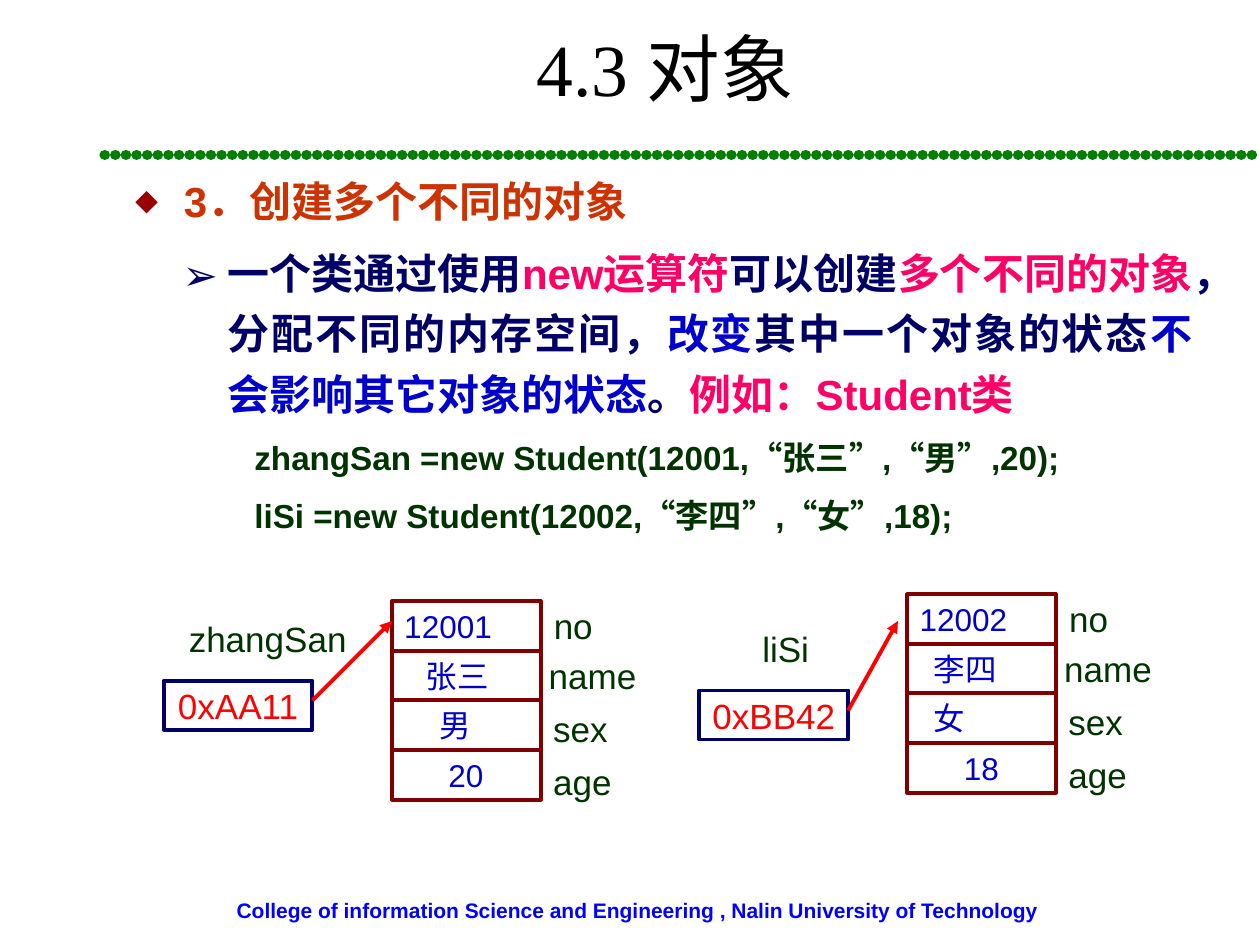
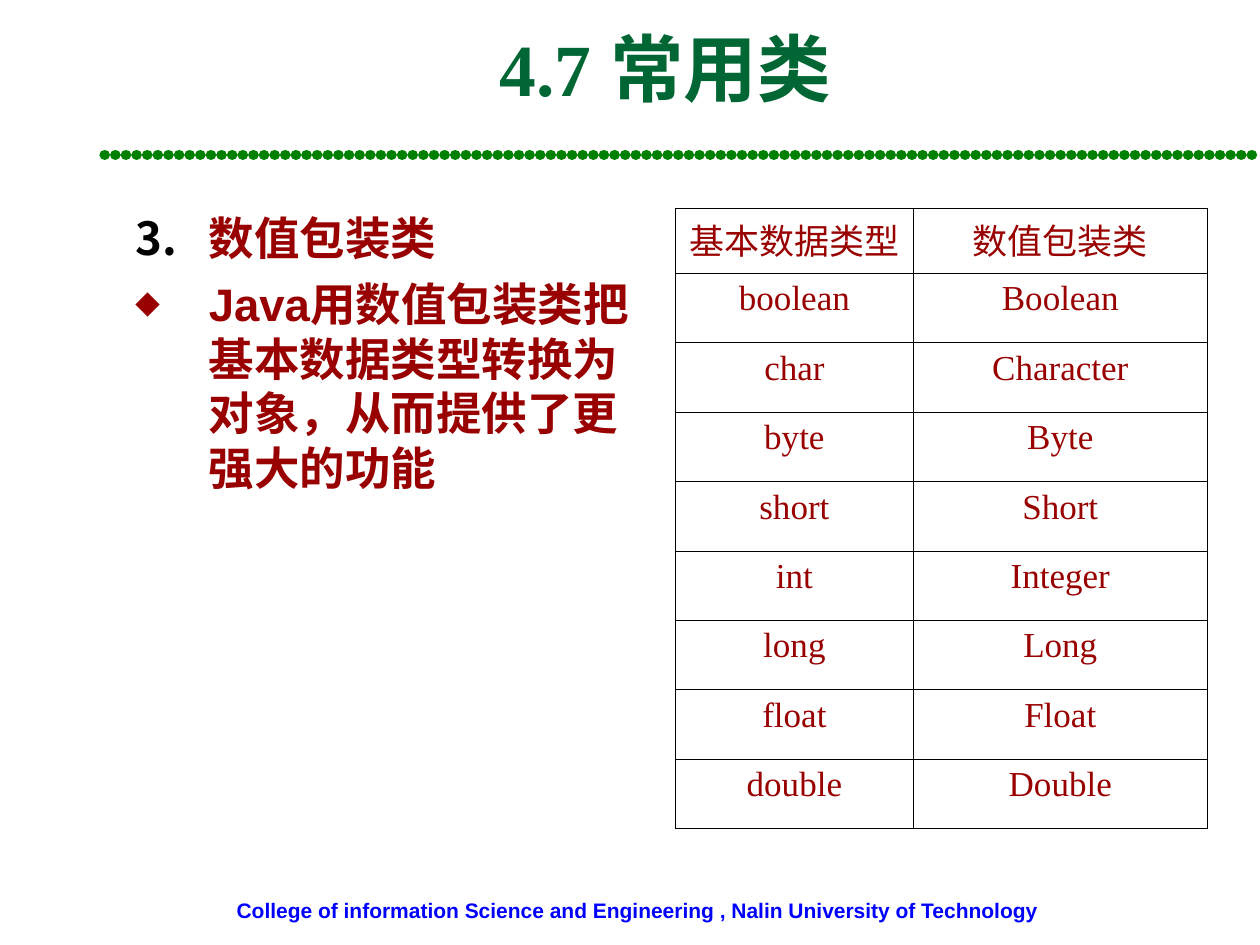
from dataclasses import dataclass

from lxml.etree import SubElement
from pptx import Presentation
from pptx.dml.color import RGBColor
from pptx.enum.shapes import MSO_CONNECTOR, MSO_SHAPE
from pptx.enum.text import MSO_ANCHOR, PP_ALIGN
from pptx.oxml.ns import qn
from pptx.util import Cm, Pt


@dataclass(frozen=True)
class Theme:
    """Colours, fonts and type sizes of the deck."""
    black: str = "000000"
    footer: str = "0000FF"
    rule: str = "008000"
    green: str = "006633"
    heading: str = "CC3300"
    navy: str = "000066"
    pink: str = "FF0066"
    blue: str = "0000CC"
    code: str = "003300"
    red: str = "FF0000"
    maroon: str = "800000"
    crimson: str = "990000"
    sans: str = "Arial"
    serif: str = "Times New Roman"
    cjk: str = "Noto Sans CJK SC"
    title_size: int = 42
    point_size: int = 26
    body_size: int = 24
    label_size: int = 20
    code_size: int = 19
    value_size: int = 18
    footer_size: int = 12


T = Theme()
FOOTER = "College of information Science and Engineering , Nalin University of Technology"
CODE = [
    ("zhangSan =new Student(12001,", "张三", "男", ",20);"),
    ("liSi =new Student(12002,", "李四", "女", ",18);"),
]
FIELDS = [("no", -0.1, -0.05, 1.4), ("name", -0.18, 0.94, 2.36),
          ("sex", -0.1, 2.01, 1.7), ("age", -0.1, 3.09, 1.78)]
TYPES = [("基本数据类型", "数值包装类"), ("boolean", "Boolean"), ("char", "Character"),
         ("byte", "Byte"), ("short", "Short"), ("int", "Integer"), ("long", "Long"),
         ("float", "Float"), ("double", "Double")]


def add_xml(parent, tag, **attrs):
    """Append a DrawingML element and return it."""
    return SubElement(parent, qn(tag), {k: str(v) for k, v in attrs.items()})


def set_font(font, size, color, name=T.sans, bold=False):
    """Style one font object."""
    font.size, font.name, font.bold = Pt(size), name, bold
    font.color.rgb = RGBColor.from_string(color)


def write(p, text, size, color, name=T.sans, bold=False, align=PP_ALIGN.LEFT):
    """Fill a paragraph with evenly styled text."""
    p.add_run().text = text
    p.alignment = align
    set_font(p.font, size, color, name, bold)


def indent(p, left, first=0):
    """Set the left margin and first-line indent of a paragraph."""
    pPr = p._p.get_or_add_pPr()
    pPr.set("marL", str(Cm(left)))
    pPr.set("indent", str(Cm(first)))


def bullet(p, color, char=None, start=None, scale=100):
    """Give a paragraph a character bullet or a number."""
    pPr = p._p.get_or_add_pPr()
    add_xml(add_xml(pPr, "a:buClr"), "a:srgbClr", val=color)
    add_xml(pPr, "a:buSzPct", val=scale * 1000)
    add_xml(pPr, "a:buFont", typeface=T.cjk)
    if char:
        add_xml(pPr, "a:buChar", char=char)
    else:
        add_xml(pPr, "a:buAutoNum", type="arabicPeriod", startAt=start)


def spacing(p, before, lines=1.0):
    """Set the space before a paragraph and its line spacing."""
    p.space_before, p.line_spacing = Pt(before), lines


def add_text(s, left, top, width, height, wrap=True):
    """Add a text box and return its text frame."""
    tf = s.shapes.add_textbox(Cm(left), Cm(top), Cm(width), Cm(height)).text_frame
    tf.word_wrap = wrap
    return tf


def add_label(s, text, left, top, width):
    """Add a one-line name beside a box."""
    tf = add_text(s, left, top, width, 1.12, wrap=False)
    write(tf.paragraphs[0], text, T.label_size, T.code, align=PP_ALIGN.RIGHT)


def add_box(s, left, top, height, color):
    """Add an outlined memory cell and return its text frame."""
    sp = s.shapes.add_shape(MSO_SHAPE.RECTANGLE, Cm(left), Cm(top), Cm(3), Cm(height))
    sp.shadow.inherit = False
    sp.fill.background()
    sp.line.color.rgb = RGBColor.from_string(color)
    sp.line.width = Pt(2.24)
    sp.text_frame.vertical_anchor = MSO_ANCHOR.MIDDLE
    return sp.text_frame


def add_line(s, x1, y1, x2, y2, color, width):
    """Add a straight line and return its outline element."""
    cn = s.shapes.add_connector(MSO_CONNECTOR.STRAIGHT, Cm(x1), Cm(y1), Cm(x2), Cm(y2))
    cn.line.color.rgb = RGBColor.from_string(color)
    cn.line.width = Pt(width)
    add_xml(cn._element.spPr, "a:effectLst")
    return cn.line._get_or_add_ln()


def add_base(prs, title, color, bold):
    """Add a slide with footer, dotted rule and title."""
    s = prs.slides.add_slide(prs.slide_layouts[6])
    tf = add_text(s, 4.52, 17.96, 16.97, 0.76, wrap=False)
    write(tf.paragraphs[0], FOOTER, T.footer_size, T.footer, bold=True)
    ln = add_line(s, 2.11, 3.12, 25.4, 3.12, T.rule, 6)
    ln.set("cap", "rnd")
    add_xml(add_xml(ln, "a:custDash"), "a:ds", d=1000, sp=100000)
    tf = add_text(s, 2.69, 0.33, 21.44, 2.36)
    write(tf.paragraphs[0], title, T.title_size, color, T.serif, bold, PP_ALIGN.CENTER)
    return s


def add_code(tf, call, name, sex, end):
    """Add one constructor call with full-width quotes."""
    p = tf.add_paragraph()
    indent(p, 2.39)
    spacing(p, 6, 1.2)
    for text in (call, "“", name, "”", ",", "“", sex, "”", end):
        r = p.add_run()
        r.text = text
        r.font.name = T.cjk if text in "“”" else T.sans
    p.font.size, p.font.bold = Pt(T.code_size), True
    p.font.color.rgb = RGBColor.from_string(T.code)


def add_explanation(s):
    """Add the body text about creating several objects."""
    tf = add_text(s, 2.49, 3.53, 21.79, 7.8)
    p = tf.paragraphs[0]
    indent(p, 0.97, -0.97)
    bullet(p, T.crimson, "◆", scale=55)
    spacing(p, 6, 0.9)
    write(p, "3．创建多个不同的对象", T.body_size, T.heading, bold=True, align=PP_ALIGN.JUSTIFY)
    p = tf.add_paragraph()
    p.alignment = PP_ALIGN.JUSTIFY
    indent(p, 1.85, -0.91)
    bullet(p, T.navy, "➢")
    spacing(p, 6, 1.2)
    for text, color in [
        ("一个类通过使用", T.navy), ("new运算符", T.pink), ("可以创建", T.navy),
        ("多个不同的对象", T.pink), ("，分配不同的内存空间，", T.navy), ("改变", T.blue),
        ("其中一个对象的状态", T.navy), ("不会影响其它对象的状态", T.blue),
        ("。", T.navy), ("例如：Student类", T.pink),
    ]:
        r = p.add_run()
        r.text = text
        r.font.color.rgb = RGBColor.from_string(color)
    p.font.size, p.font.name, p.font.bold = Pt(T.body_size), T.sans, True
    for line in CODE:
        add_code(tf, *line)


def add_reference(s, name, name_at, address, left, top, tip):
    """Add a named reference box with an arrow to its object."""
    add_label(s, name, *name_at)
    tf = add_box(s, left, top, 0.99, T.navy)
    tf.word_wrap = False
    write(tf.paragraphs[0], address, T.label_size, T.red, align=PP_ALIGN.CENTER)
    ln = add_line(s, left + 3, top + 0.4, tip, 12.52, T.red, 2.24)
    add_xml(ln, "a:tailEnd", type="triangle")


def add_object(s, left, top, values):
    """Add an object's stacked field values and field names."""
    for i, (value, shift) in enumerate(values):
        p = add_box(s, left, top + i, 1, T.maroon).paragraphs[0]
        indent(p, shift)
        write(p, value, T.value_size, T.blue)
    for name, dx, dy, width in FIELDS:
        add_label(s, name, left + 3 + dx, top + dy, width)


def add_points(s):
    """Add the numbered point on wrapper classes."""
    tf = add_text(s, 2.49, 4.11, 10.72, 12.57)
    number, point = tf.paragraphs[0], tf.add_paragraph()
    bullet(number, T.black, start=3)
    bullet(point, T.crimson, "◆", scale=55)
    for p, text in [(number, "数值包装类"),
                    (point, "Java用数值包装类把基本数据类型转换为对象，从而提供了更强大的功能")]:
        indent(p, 1.47, -1.47)
        spacing(p, 6.5)
        write(p, text, T.point_size, T.crimson, bold=True)


def style_cell(cell, text):
    """Fill a table cell and draw its thin borders."""
    write(cell.text_frame.paragraphs[0], text, T.label_size, T.crimson, T.serif,
          align=PP_ALIGN.CENTER)
    tcPr = cell._tc.get_or_add_tcPr()
    for side in ("a:lnL", "a:lnR", "a:lnT", "a:lnB"):
        ln = add_xml(tcPr, side, w=Pt(0.45))
        add_xml(add_xml(ln, "a:solidFill"), "a:srgbClr", val=T.black)
    cell.fill.background()


def add_type_table(s):
    """Add the table of primitive types and wrapper classes."""
    table = s.shapes.add_table(len(TYPES), 2, Cm(13.61), Cm(4.19), Cm(10.72), Cm(12.5)).table
    table.first_row = table.horz_banding = False
    for column, width in zip(table.columns, (4.81, 5.91)):
        column.width = Cm(width)
    for i, (row, texts) in enumerate(zip(table.rows, TYPES)):
        row.height = Cm(1.4 if i else 1.32)
        for cell, text in zip(row.cells, texts):
            style_cell(cell, text)


def main():
    """Build and save the two slides."""
    prs = Presentation()
    prs.slide_width, prs.slide_height = Cm(25.4), Cm(19.05)
    s = add_base(prs, "4.3 对象", T.black, False)
    add_explanation(s)
    add_object(s, 7.9, 12.12, [("12001", 0), ("张三", 0.43), ("男", 0.71), ("20", 0.89)])
    add_object(s, 18.29, 11.98, [("12002", 0), ("李四", 0.28), ("女", 0.28), ("18", 0.89)])
    add_reference(s, "zhangSan", (3.46, 12.32, 3.78), "0xAA11", 3.3, 13.72, 7.9)
    add_reference(s, "liSi", (15.01, 12.52, 1.55), "0xBB42", 14.1, 13.92, 18.1)
    s = add_base(prs, "4.7 常用类", T.green, True)
    add_points(s)
    add_type_table(s)
    prs.save("out.pptx")


main()
